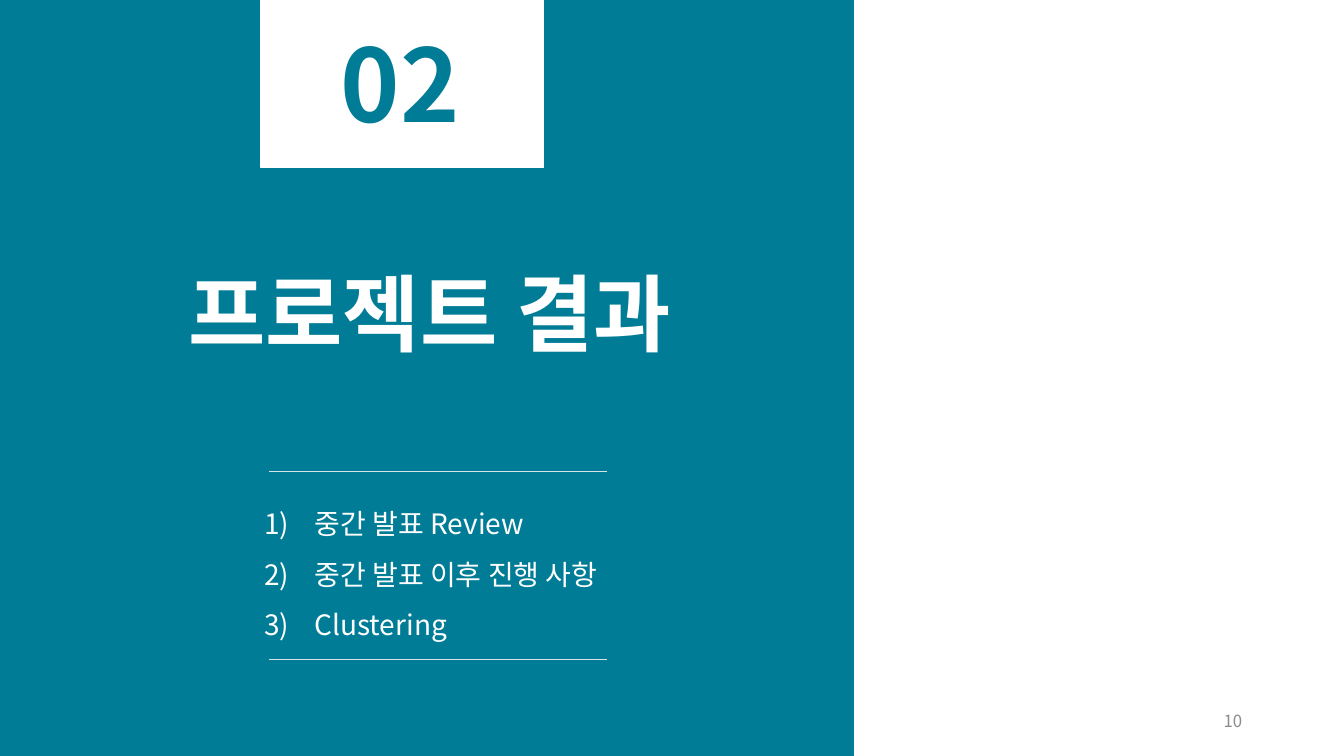
from dataclasses import dataclass

from lxml import etree
from pptx import Presentation
from pptx.dml.color import RGBColor
from pptx.enum.shapes import MSO_CONNECTOR, MSO_SHAPE
from pptx.enum.text import MSO_ANCHOR, PP_ALIGN
from pptx.oxml.ns import qn
from pptx.util import Inches, Pt

RECTANGLE = MSO_SHAPE.RECTANGLE
STRAIGHT = MSO_CONNECTOR.STRAIGHT
TOP, MIDDLE = MSO_ANCHOR.TOP, MSO_ANCHOR.MIDDLE
LEFT, CENTER, RIGHT = PP_ALIGN.LEFT, PP_ALIGN.CENTER, PP_ALIGN.RIGHT


@dataclass(frozen=True)
class Theme:
    """Colours, font and type sizes of the slide."""
    teal: RGBColor = RGBColor.from_string("007C96")
    white: RGBColor = RGBColor.from_string("FFFFFF")
    rule: RGBColor = RGBColor.from_string("D8E2E7")
    grey: RGBColor = RGBColor.from_string("8C8C8C")
    font: str = "Noto Sans CJK KR"
    number_size: int = 72
    title_size: int = 60
    agenda_size: int = 20
    page_size: int = 12


THEME = Theme()
AGENDA = ["중간 발표 Review", "중간 발표 이후 진행 사항", "Clustering"]


def add_panel(slide, left, top, width, height, color):
    """Add a rectangle in one colour."""
    panel = slide.shapes.add_shape(
        RECTANGLE, Inches(left), Inches(top), Inches(width), Inches(height))
    panel.shadow.inherit = False
    panel.fill.solid()
    panel.fill.fore_color.rgb = color
    panel.line.color.rgb = color
    panel.line.width = Pt(1)


def number_paragraph(paragraph, indent=0.5):
    """Give a paragraph automatic numbering with a hanging indent."""
    properties = paragraph._p.get_or_add_pPr()
    properties.set("marL", str(Inches(indent)))
    properties.set("indent", str(-Inches(indent)))
    etree.SubElement(properties, qn("a:buFont"), typeface="+mj-lt")
    etree.SubElement(properties, qn("a:buAutoNum"), type="arabicParenR")


def add_text(slide, lines, left, top, width, height, *, size, color, bold=False,
             align=LEFT, anchor=MIDDLE, spacing=1.0, numbered=False, wrap=True):
    """Add a text box with one paragraph for each line."""
    box = slide.shapes.add_textbox(
        Inches(left), Inches(top), Inches(width), Inches(height))
    frame = box.text_frame
    frame.word_wrap = wrap
    frame.vertical_anchor = anchor
    for index, line in enumerate(lines):
        paragraph = frame.add_paragraph() if index else frame.paragraphs[0]
        paragraph.alignment = align
        paragraph.line_spacing = spacing
        if numbered:
            number_paragraph(paragraph)
        run = paragraph.add_run()
        run.text = line
        run.font.name = THEME.font
        run.font.size = Pt(size)
        run.font.bold = bold
        run.font.color.rgb = color
        etree.SubElement(run.font._element, qn("a:ea"), typeface=THEME.font)


def add_rule(slide, left, right, y):
    """Add a thin horizontal line."""
    rule = slide.shapes.add_connector(
        STRAIGHT, Inches(left), Inches(y), Inches(right), Inches(y))
    rule.line.color.rgb = THEME.rule
    rule.line.width = Pt(1)
    etree.SubElement(rule._element.spPr, qn("a:effectLst"))


def main():
    """Build the section slide and save it."""
    deck = Presentation()
    deck.slide_width, deck.slide_height = Inches(13.33), Inches(7.5)
    slide = deck.slides.add_slide(deck.slide_layouts[6])

    add_panel(slide, 0, 0, 8.46, 7.5, THEME.teal)
    add_panel(slide, 2.59, -0.01, 2.8, 1.67, THEME.white)
    add_text(slide, ["02"], 3.28, 0.17, 1.42, 1.31, size=THEME.number_size,
             color=THEME.teal, bold=True, anchor=TOP, wrap=False)
    add_text(slide, ["프로젝트 결과"], 0.64, 2.17, 7.24, 1.97, size=THEME.title_size,
             color=THEME.white, bold=True, align=CENTER, spacing=0.9)

    agenda_top, agenda_height = 4.68, 1.86
    add_text(slide, AGENDA, 2.52, agenda_top, 4.95, agenda_height,
             size=THEME.agenda_size, color=THEME.white, spacing=1.5, numbered=True)
    for y in (agenda_top, agenda_top + agenda_height):
        add_rule(slide, 2.67, 6.02, y)

    add_text(slide, ["10"], 9.42, 6.95, 3, 0.4, size=THEME.page_size,
             color=THEME.grey, align=RIGHT)
    deck.save("out.pptx")


if __name__ == "__main__":
    main()
